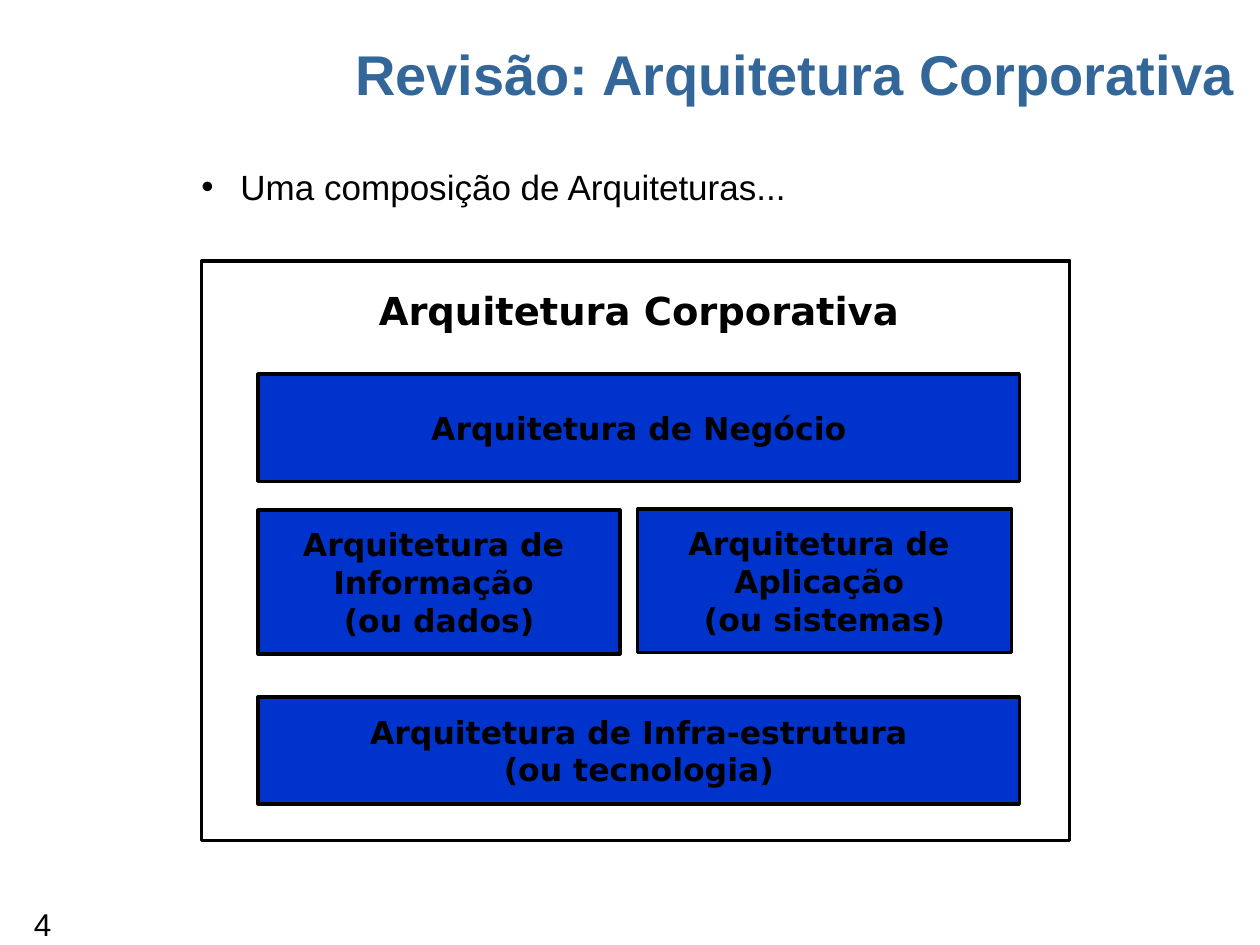
from lxml.etree import SubElement
from pptx import Presentation
from pptx.dml.color import RGBColor
from pptx.enum.shapes import MSO_SHAPE
from pptx.enum.text import MSO_ANCHOR, PP_ALIGN
from pptx.oxml.ns import qn
from pptx.util import Inches, Pt

COLORS = {"black": "000000", "white": "FFFFFF", "blue": "0033CC", "title": "336699"}


class Deck:
    """Holds the style and the current slide."""

    def __init__(self):
        self.prs = Presentation()
        self.prs.slide_width, self.prs.slide_height = Inches(10), Inches(7.5)
        self.s = self.prs.slides.add_slide(self.prs.slide_layouts[6])

    def color(self, name):
        return RGBColor.from_string(COLORS[name])

    def run(self, p, text, size, font, color="black", bold=False):
        r = p.add_run()
        r.text = text
        r.font.name, r.font.size, r.font.bold = font, Pt(size), bold
        r.font.color.rgb = self.color(color)

    def text(self, box, text, size, color="black", bold=False, top=0.05):
        tf = self.s.shapes.add_textbox(*map(Inches, box)).text_frame
        tf.word_wrap = True
        tf.margin_top = Inches(top)
        p = tf.paragraphs[0]
        self.run(p, text, size, "Arial", color, bold)
        return p

    def bullet(self, box, text, size, indent, top):
        p = self.text(box, text, size, top=top)
        pPr = p._p.get_or_add_pPr()
        pPr.set("marL", str(Inches(indent)))
        pPr.set("indent", str(-Inches(indent)))
        SubElement(pPr, qn("a:buFont"), typeface="Arial")
        SubElement(pPr, qn("a:buChar"), char="•")

    def block(self, box, lines=(), fill="blue", line="black", size=18):
        sp = self.s.shapes.add_shape(MSO_SHAPE.RECTANGLE, *map(Inches, box))
        sp.shadow.inherit = False
        if fill:
            sp.fill.solid()
            sp.fill.fore_color.rgb = self.color(fill)
        else:
            sp.fill.background()
        if line:
            sp.line.color.rgb = self.color(line)
            sp.line.width = Pt(2)
        else:
            sp.line.fill.background()
        tf = sp.text_frame
        tf.word_wrap = False
        tf.vertical_anchor = MSO_ANCHOR.MIDDLE
        tf.margin_left = tf.margin_right = Inches(0.12)
        tf.margin_top = tf.margin_bottom = Inches(0.06)
        for i, text in enumerate(lines):
            p = tf.add_paragraph() if i else tf.paragraphs[0]
            p.alignment = PP_ALIGN.CENTER
            self.run(p, text, size, "DejaVu Sans", bold=True)


def main():
    deck = Deck()
    left, width = 2.05, 6.04
    deck.text((0.17, 7.11, 1.1, 0.35), "4", 18, top=0.07)
    deck.block((1.6, 2.07, 6.89, 4.6), fill=None)
    for box, lines in (
        ((left, 2.97, width, 0.85), ["Arquitetura de Negócio"]),
        ((left, 4.05, 2.87, 1.14), ["Arquitetura de ", "Informação ", "(ou dados)"]),
        ((5.06, 4.04, 2.97, 1.14), ["Arquitetura de ", "Aplicação ", "(ou sistemas)"]),
        ((left, 5.53, width, 0.85), ["Arquitetura de Infra-estrutura", "(ou tecnologia)"]),
    ):
        deck.block(box, lines)
    deck.text((2.72, 0.21, 9.02, 0.55), "Revisão: Arquitetura Corporativa", 32,
              "title", bold=True, top=0.1)
    deck.bullet((1.5, 1.23, 8.5, 0.53), "Uma composição de Arquiteturas...", 20, 0.31, 0.08)
    deck.block((left, 2.11, width, 0.7), ["Arquitetura Corporativa"], "white", None, 22)
    deck.prs.save("out.pptx")


if __name__ == "__main__":
    main()
